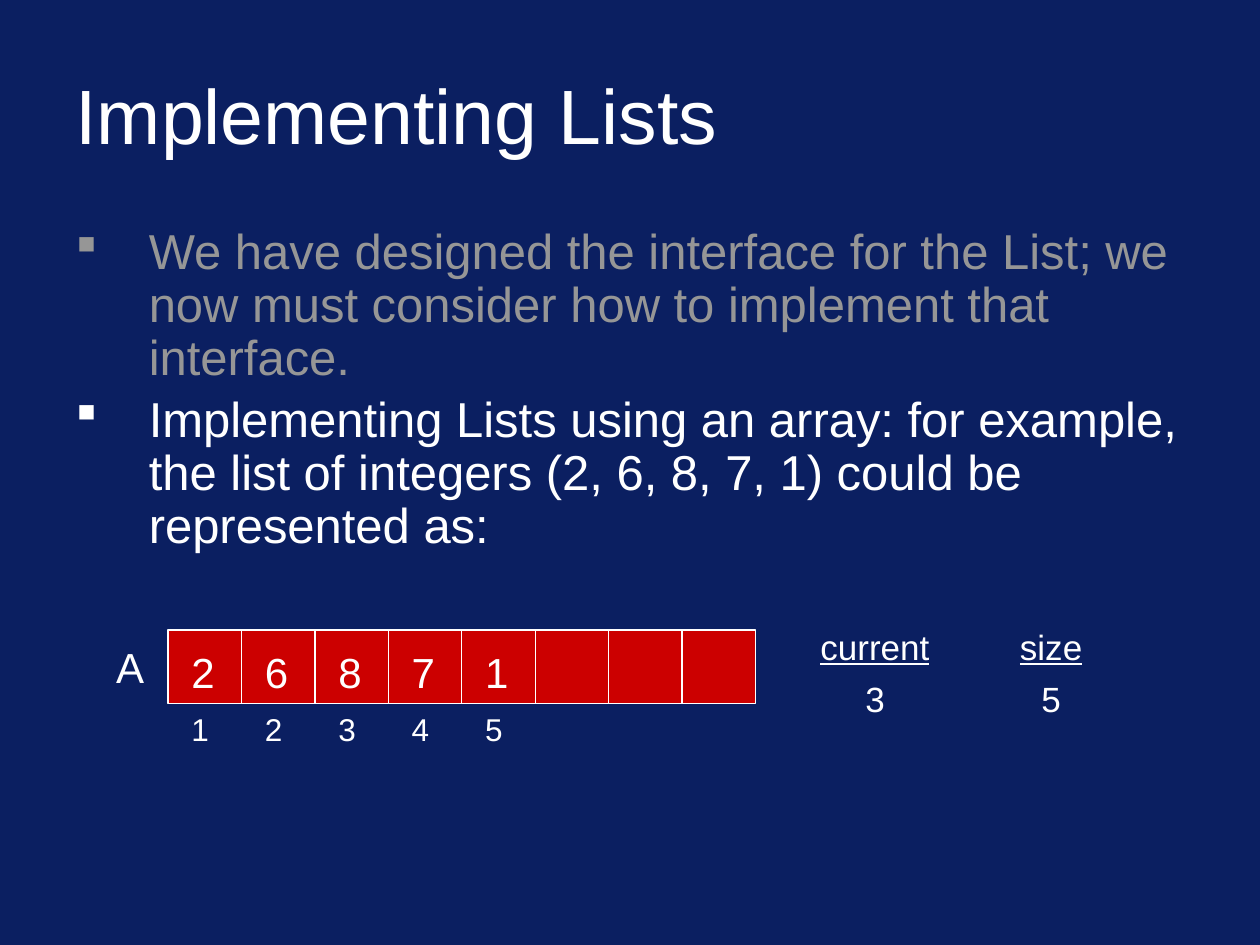
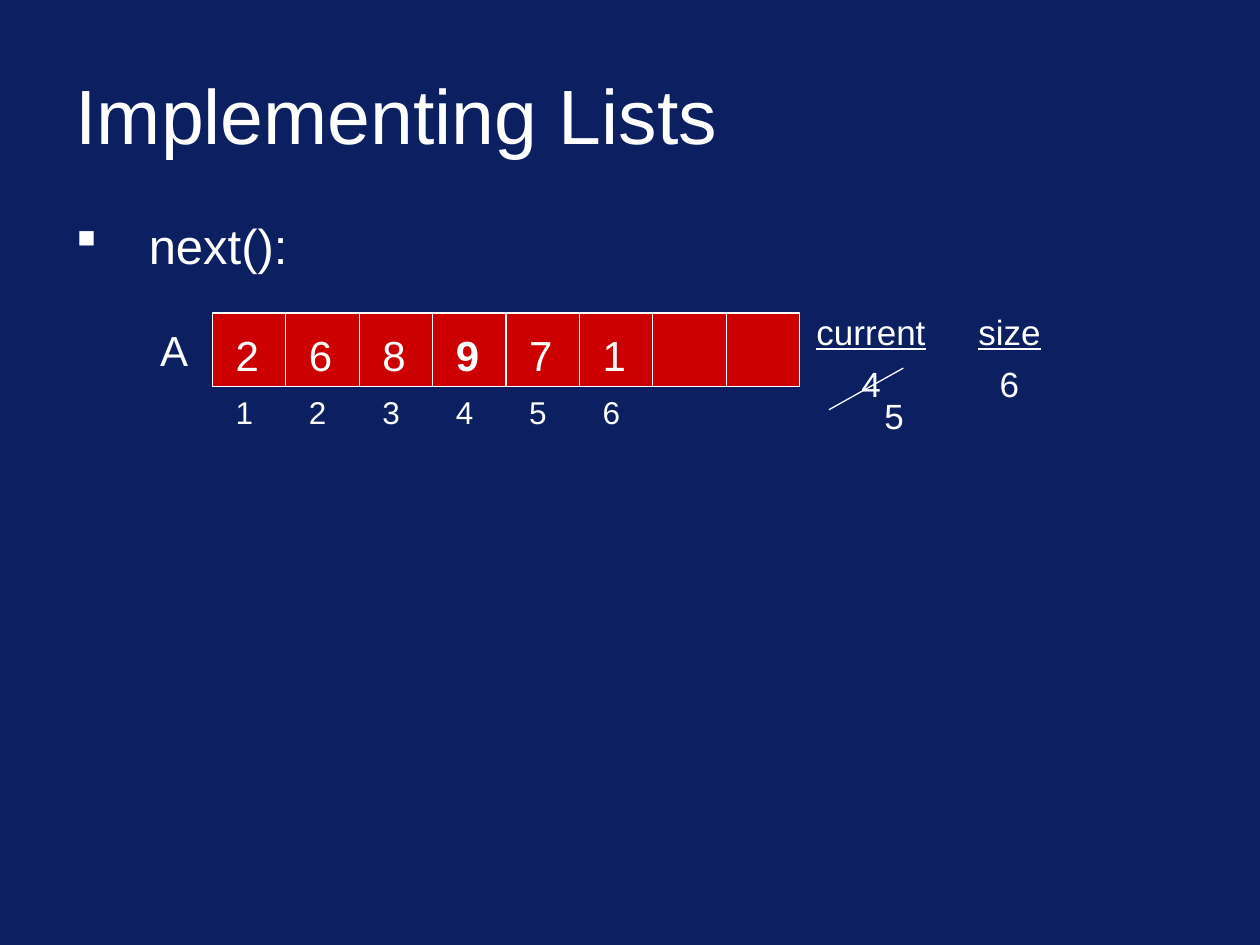
from lxml import etree
from pptx import Presentation
from pptx.dml.color import RGBColor
from pptx.enum.shapes import MSO_CONNECTOR, MSO_SHAPE
from pptx.enum.text import MSO_ANCHOR, PP_ALIGN
from pptx.oxml.ns import qn
from pptx.util import Cm, Pt

LEFT, CENTER = PP_ALIGN.LEFT, PP_ALIGN.CENTER
MIDDLE = MSO_ANCHOR.MIDDLE
STRAIGHT, RECTANGLE = MSO_CONNECTOR.STRAIGHT, MSO_SHAPE.RECTANGLE

# Content: positions in centimetres
TITLE = "Implementing Lists"
SLIDES = [
    {
        "bullets": [
            ("We have designed the interface for the List; we now must "
             "consider how to implement that interface.", "muted"),
            ("Implementing Lists using an array: for example, the list of "
             "integers (2, 6, 8, 7, 1) could be represented as:", "text"),
        ],
        "body_height": 7.42,
        "line_spacing": 0.9,
        "array": {"at": (3.39, 12.7), "values": [2, 6, 8, 7, 1], "bold": None},
        "state_top": 12.48,
        "state": [("current", "3", 17.64), ("size", "5", 21.19)],
    },
    {
        "bullets": [("next():", "text")],
        "body_height": 1.7,
        "line_spacing": 0.8,
        "array": {"at": (4.28, 6.31), "values": [2, 6, 8, 9, 7, 1], "bold": 9},
        "state_top": 6.13,
        "state": [("current", "4", 17.56), ("size", "6", 20.35)],
        "update": {"text": "5", "at": (17.58, 7.82),
                   "strike": (16.71, 8.26, 18.21, 7.42)},
    },
]

# Shared style
COLORS = {"background": "0B1F61", "text": "FFFFFF", "muted": "969696",
          "cell": "CC0000"}
FONT = "Arial"
MARGIN, CONTENT_WIDTH = 1.27, 22.86
CELL, CELL_COUNT, CELL_INSET = 1.48, 8, 0.22
HANGING = 1.48
STATE_WIDTH = 3.2


def color(name):
    return RGBColor.from_string(COLORS[name])


def style(paragraph, size, color_name="text", bold=False, underline=False):
    font = paragraph.font
    font.name, font.size = FONT, Pt(size)
    font.color.rgb = color(color_name)
    font.bold, font.underline = bold, underline


def add_label(shapes, text, left, top, width, height, size,
              align=LEFT, **format_options):
    box = shapes.add_textbox(Cm(left), Cm(top), Cm(width), Cm(height))
    box.text_frame.word_wrap = False
    paragraph = box.text_frame.paragraphs[0]
    paragraph.text, paragraph.alignment = text, align
    style(paragraph, size, **format_options)


def add_line(shapes, x1, y1, x2, y2):
    line = shapes.add_connector(STRAIGHT, Cm(x1), Cm(y1), Cm(x2), Cm(y2))
    line.line.color.rgb = color("text")
    line.line.width = Pt(0.75)
    etree.SubElement(line._element.spPr, qn("a:effectLst"))


def add_title(slide):
    title = slide.shapes.title
    title.left, title.top = Cm(MARGIN), Cm(1.02)
    title.width, title.height = Cm(CONTENT_WIDTH), Cm(2.54)
    title.text_frame.text = TITLE
    title.text_frame.vertical_anchor = MIDDLE
    paragraph = title.text_frame.paragraphs[0]
    paragraph.alignment = LEFT
    style(paragraph, 44)


def add_bullets(slide, bullets, height, line_spacing):
    box = slide.shapes.add_textbox(Cm(MARGIN), Cm(4.45),
                                   Cm(CONTENT_WIDTH), Cm(height))
    frame = box.text_frame
    frame.word_wrap = True
    for index, (text, color_name) in enumerate(bullets):
        paragraph = frame.add_paragraph() if index else frame.paragraphs[0]
        paragraph.text = text
        paragraph.line_spacing = line_spacing
        paragraph.space_before = Pt(5.6)
        style(paragraph, 28, color_name)
        properties = paragraph._p.get_or_add_pPr()
        properties.set("marL", str(Cm(HANGING)))
        properties.set("indent", str(-Cm(HANGING)))
        # In Wingdings this character is a small square
        run_defaults = properties.find(qn("a:defRPr"))
        run_defaults.addprevious(
            etree.Element(qn("a:buFont"), typeface="Wingdings", charset="2"))
        run_defaults.addprevious(etree.Element(qn("a:buChar"), char="§"))


def add_array(slide, at, values, bold):
    left, top = at
    shapes = slide.shapes.add_group_shape().shapes
    bar = shapes.add_shape(RECTANGLE, Cm(left), Cm(top),
                           Cm(CELL * CELL_COUNT), Cm(CELL))
    bar.shadow.inherit = False
    bar.fill.solid()
    bar.fill.fore_color.rgb = color("cell")
    bar.line.color.rgb = color("text")
    bar.line.width = Pt(0.75)

    add_label(shapes, "A", left - 1.3, top + 0.11, 1.07, 1.27, 24)
    for divider in range(1, CELL_COUNT):
        x = left + divider * CELL
        add_line(shapes, x, top, x, top + CELL)
    for index, value in enumerate(values):
        x = left + index * CELL + CELL_INSET
        add_label(shapes, str(value), x, top + 0.2, 0.99, 1.27, 24,
                  bold=value == bold)
        add_label(shapes, str(index + 1), x, top + CELL, 0.86, 1.02, 18)


def add_state(slide, top, variables):
    shapes = slide.shapes.add_group_shape().shapes
    for name, value, center in variables:
        left = center - STATE_WIDTH / 2
        add_label(shapes, name, left, top, STATE_WIDTH, 1.09, 20, CENTER,
                  underline=True)
        add_label(shapes, value, left, top + 1.06, STATE_WIDTH, 1.09, 20,
                  CENTER)


def add_update(slide, text, at, strike):
    shapes = slide.shapes.add_group_shape().shapes
    add_label(shapes, text, *at, 0.91, 1.09, 20)
    add_line(shapes, *strike)


def main():
    presentation = Presentation()
    presentation.slide_width, presentation.slide_height = Cm(25.4), Cm(19.05)
    background = presentation.slide_master.background.fill
    background.solid()
    background.fore_color.rgb = color("background")
    title_only = presentation.slide_layouts[5]

    for content in SLIDES:
        slide = presentation.slides.add_slide(title_only)
        add_title(slide)
        add_bullets(slide, content["bullets"], content["body_height"],
                    content["line_spacing"])
        add_array(slide, **content["array"])
        add_state(slide, content["state_top"], content["state"])
        if "update" in content:
            add_update(slide, **content["update"])

    presentation.save("out.pptx")


if __name__ == "__main__":
    main()
